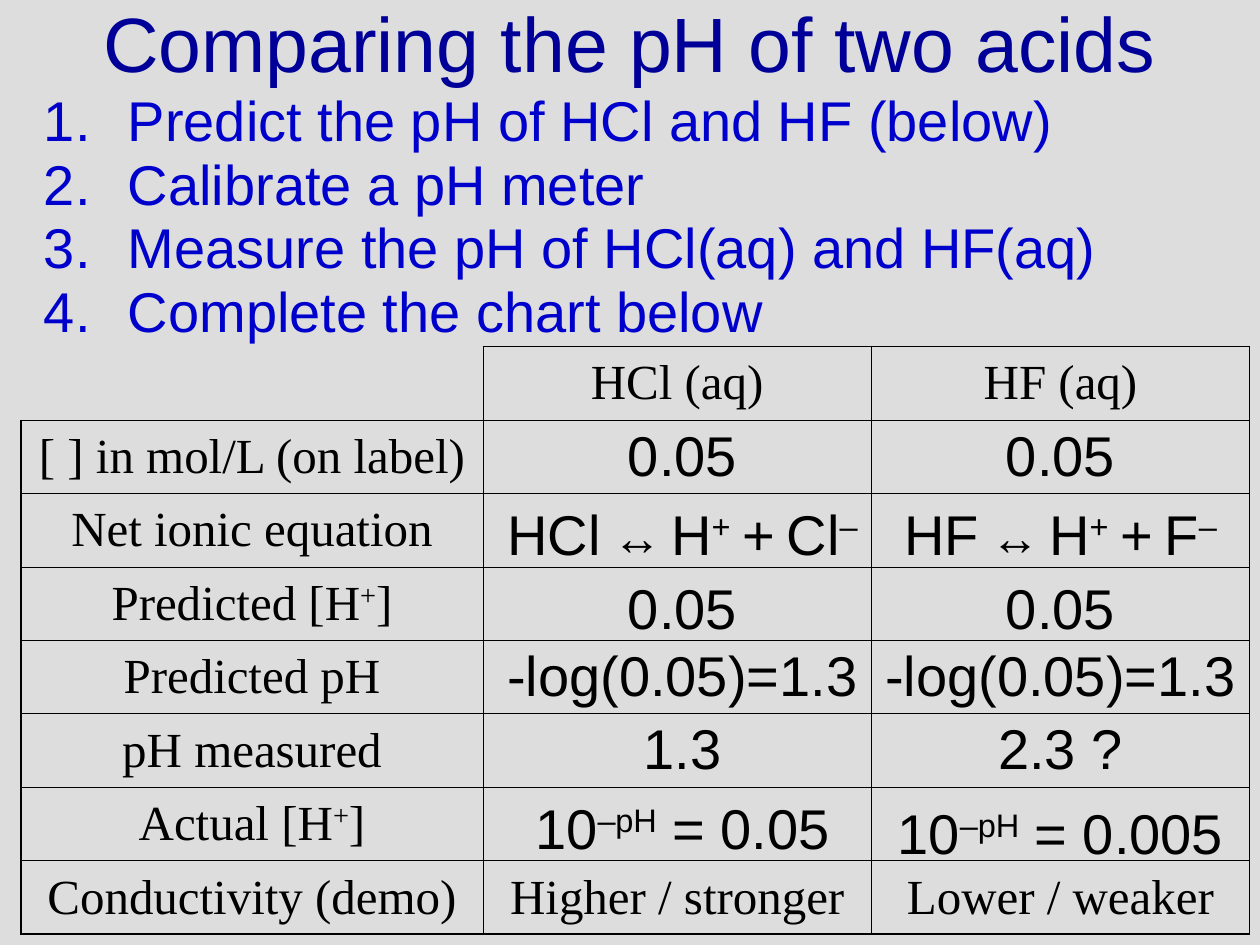
from lxml.etree import SubElement
from pptx import Presentation
from pptx.dml.color import RGBColor
from pptx.enum.text import MSO_ANCHOR, MSO_AUTO_SIZE, PP_ALIGN
from pptx.oxml.ns import qn
from pptx.util import Inches, Pt


def grid(*cells):
    return [int(Inches(cell / 12)) for cell in cells]


def write(paragraph, pieces, font, size, color, align=PP_ALIGN.CENTER):
    paragraph.alignment = align
    for piece in pieces:
        text, piece_size, raised = piece if isinstance(piece, tuple) else (piece, size, False)
        run = paragraph.add_run()
        run.text = text
        run.font.name = font
        run.font.size = Pt(piece_size)
        run.font.color.rgb = RGBColor.from_string(color)
        if raised:
            run.font._element.set("baseline", "30000")


presentation = Presentation()
presentation.slide_width, presentation.slide_height = grid(120, 90)
slide = presentation.slides.add_slide(presentation.slide_layouts[5])
slide.background.fill.solid()
slide.background.fill.fore_color.rgb = RGBColor.from_string("DDDDDD")

title = slide.shapes.title
title.left, title.top, title.width, title.height = grid(0, 0, 120, 8)
title.text_frame.auto_size = MSO_AUTO_SIZE.NONE
title.text_frame.vertical_anchor = MSO_ANCHOR.MIDDLE
write(title.text_frame.paragraphs[0], ["Comparing the pH of two acids"], "Arial", 44, "000099")

steps = [
    "Predict the pH of HCl and HF (below)",
    "Calibrate a pH meter",
    "Measure the pH of HCl(aq) and HF(aq)",
    "Complete the chart below",
]
procedure = slide.shapes.add_textbox(*grid(3, 8, 116, 26)).text_frame
procedure.word_wrap = True
procedure.margin_right = Inches(0.05)
for index, step in enumerate(steps):
    paragraph = procedure.paragraphs[0] if index == 0 else procedure.add_paragraph()
    paragraph.line_spacing = 0.95
    properties = paragraph._p.get_or_add_pPr()
    indent, = grid(8)
    properties.set("marL", str(indent))
    properties.set("indent", str(-indent))
    number_color = SubElement(properties, qn("a:buClr"))
    SubElement(number_color, qn("a:srgbClr"), val="0000CC")
    SubElement(properties, qn("a:buFont"), typeface="Arial")
    SubElement(properties, qn("a:buAutoNum"), type="arabicPeriod")
    write(paragraph, [step], "Arial", 32, "0000CC", PP_ALIGN.LEFT)

hydrogen = ("+", 28, True)
comparison = [
    [[], ["HCl (aq)"], ["HF (aq)"]],
    [["[ ] in mol/L (on label)"], [], []],
    [["Net ionic equation"], [], []],
    [["Predicted [H", hydrogen, "]"], [], []],
    [["Predicted pH"], [], []],
    [["pH measured"], [], []],
    [["Actual [H", hydrogen, "]"], [], []],
    [["Conductivity (demo)"], ["Higher / stronger"], ["Lower / weaker"]],
]
last_row, last_column = len(comparison) - 1, 2
acids = slide.shapes.add_table(len(comparison), 3, *grid(2, 33, 117, 56)).table
acids.first_row = acids.horz_banding = False
for column, width in zip(acids.columns, grid(44, 37, 36)):
    column.width = width
for row, entries in enumerate(comparison):
    acids.rows[row].height, = grid(7)
    for column, pieces in enumerate(entries):
        cell = acids.cell(row, column)
        cell.vertical_anchor = MSO_ANCHOR.MIDDLE
        if pieces:
            write(cell.text_frame.paragraphs[0], pieces, "Times New Roman", 28, "000000")
        outer_edges = {
            "a:lnL": column == 0,
            "a:lnR": column == last_column,
            "a:lnT": row == 0,
            "a:lnB": row == last_row,
        }
        for edge, outer in outer_edges.items():
            border = SubElement(cell._tc.get_or_add_tcPr(), qn(edge), w=str(Pt(1.08 if outer else 0.45)))
            if outer and row == column == 0:
                SubElement(border, qn("a:noFill"))
            else:
                border_fill = SubElement(border, qn("a:solidFill"))
                SubElement(border_fill, qn("a:srgbClr"), val="000000")
        cell.fill.background()

ionization = [
    (" ", 24, False), ("↔", 28, False), (" ", 20, False), "H", ("+", 32, True),
    (" ", 24, False), "+", (" ", 24, False),
]
minus = ("–", 32, True)
power = ["10", ("–pH", 32, True)]
answers = {
    48: [
        (40, ["0.05"]),
        (47.6, ["HCl", *ionization, "Cl", minus]),
        (54.6, ["0.05"]),
        (61, ["-log(0.05)=1.3"]),
        (68, ["1.3"]),
        (75.6, [*power, " = 0.05"]),
    ],
    84: [
        (40, ["0.05"]),
        (47.6, ["HF", *ionization, "F", minus]),
        (54.6, ["0.05"]),
        (61, ["-log(0.05)=1.3"]),
        (68, ["2.3 ?"]),
        (76, [*power, " = 0.005"]),
    ],
}
for left, column_answers in answers.items():
    for top, pieces in column_answers:
        answer = slide.shapes.add_textbox(*grid(left, top, 34, 6.4)).text_frame
        answer.word_wrap = True
        answer.auto_size = MSO_AUTO_SIZE.SHAPE_TO_FIT_TEXT
        answer.margin_left = answer.margin_right = answer.margin_top = answer.margin_bottom = 0
        write(answer.paragraphs[0], pieces, "Arial", 32, "000000")

presentation.save("out.pptx")
